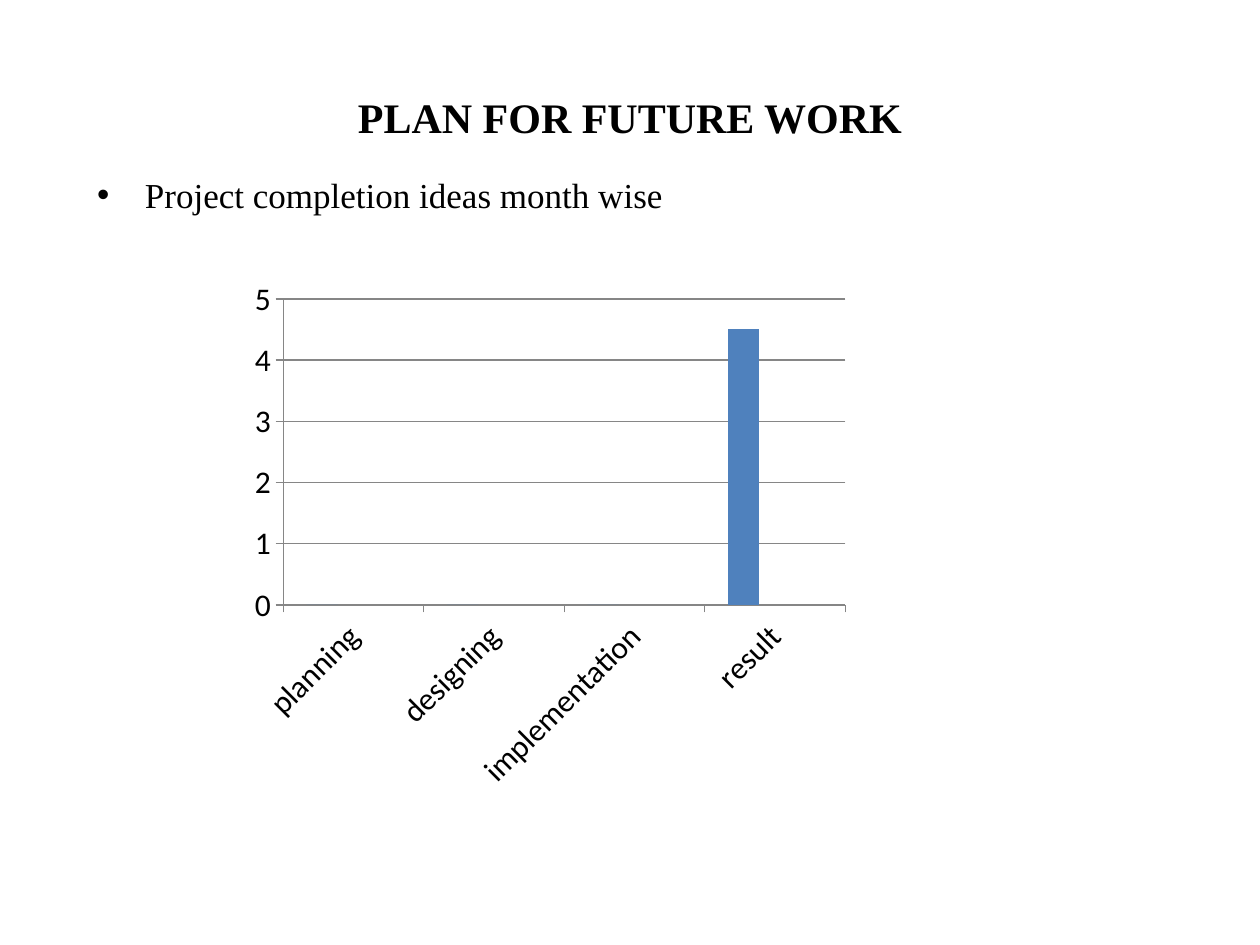
from dataclasses import dataclass
from typing import Optional

from lxml.etree import SubElement
from pptx import Presentation
from pptx.chart.data import CategoryChartData
from pptx.dml.color import RGBColor
from pptx.enum.chart import XL_CHART_TYPE, XL_TICK_MARK
from pptx.enum.text import MSO_ANCHOR, PP_ALIGN
from pptx.oxml import parse_xml
from pptx.oxml.ns import nsdecls, qn
from pptx.util import Inches, Pt

BLACK = RGBColor(0, 0, 0)
GREY = RGBColor(0x86, 0x86, 0x86)
BLUE = RGBColor(0x4F, 0x81, 0xBD)
RED = RGBColor(0xC0, 0x50, 0x4D)
GREEN = RGBColor(0x9B, 0xBB, 0x59)
STAGES = ["planning", "designing", "implementation", "result"]
PLOT = {"x": 0.124, "y": 0.066, "w": 0.669, "h": 0.547}


@dataclass
class Series:
    name: str
    vals: list[Optional[float]]
    color: RGBColor


SERIES = [
    Series("Series 1", [0, 0, 0, 4.5], BLUE),
    Series("Series 2", [None] * 4, RED),
    Series("Series 3", [None] * 4, GREEN),
]


def place(shape, left: float, top: float, width: float, height: float) -> None:
    shape.left, shape.top = Inches(left), Inches(top)
    shape.width, shape.height = Inches(width), Inches(height)


def write(shape, text: str, *, size: float, bold: bool = False,
          align=PP_ALIGN.LEFT, anchor=MSO_ANCHOR.TOP):
    frame = shape.text_frame
    frame.word_wrap = True
    frame.vertical_anchor = anchor
    para = frame.paragraphs[0]
    para.alignment = align
    run = para.add_run()
    run.text = text
    font = run.font
    font.name, font.size, font.bold = "Times New Roman", Pt(size), bold
    font.color.rgb = BLACK
    return para


def bullet(para, indent: float) -> None:
    props = para._p.get_or_add_pPr()
    props.set("marL", str(Inches(indent)))
    props.set("indent", str(-Inches(indent)))
    space = SubElement(SubElement(props, qn("a:spcBef")), qn("a:spcPct"))
    space.set("val", "20000")
    SubElement(props, qn("a:buFont")).set("typeface", "Arial")
    SubElement(props, qn("a:buChar")).set("char", "•")


def layout(chart) -> None:
    area = chart._chartSpace.find(".//" + qn("c:plotArea"))
    for old in area.findall(qn("c:layout")):
        area.remove(old)
    modes = "".join(f'<c:{key}Mode val="edge"/>' for key in "xy")
    sizes = "".join(f'<c:{key} val="{val}"/>' for key, val in PLOT.items())
    area.insert(0, parse_xml(
        f'<c:layout {nsdecls("c")}><c:manualLayout>'
        f'<c:layoutTarget val="inner"/>{modes}{sizes}'
        '</c:manualLayout></c:layout>'))


def draw(slide) -> None:
    data = CategoryChartData()
    data.categories = STAGES
    for item in SERIES:
        data.add_series(item.name, item.vals)
    chart = slide.shapes.add_chart(
        XL_CHART_TYPE.COLUMN_CLUSTERED, Inches(1.42), Inches(2.08),
        Inches(6.67), Inches(4.44), data).chart
    chart.has_legend = chart.has_title = False
    chart.font.name, chart.font.size = "Calibri", Pt(18)
    chart.font.color.rgb = BLACK
    plot = chart.plots[0]
    plot.gap_width, plot.overlap = 150, 0
    plot.vary_by_categories = False
    for bars, item in zip(plot.series, SERIES):
        bars.format.fill.solid()
        bars.format.fill.fore_color.rgb = item.color
    for axis in (chart.category_axis, chart.value_axis):
        axis.major_tick_mark = XL_TICK_MARK.OUTSIDE
        axis.minor_tick_mark = XL_TICK_MARK.NONE
        axis.format.line.color.rgb = GREY
        axis.format.line.width = Pt(0.75)
        axis.tick_labels.font.size = Pt(18)
    body = chart.category_axis._element.find(".//" + qn("a:bodyPr"))
    body.set("rot", "-2700000")
    scale = chart.value_axis
    scale.minimum_scale, scale.maximum_scale, scale.major_unit = 0, 5, 1
    scale.has_major_gridlines = True
    grid = scale.major_gridlines.format.line
    grid.color.rgb, grid.width = GREY, Pt(0.75)
    layout(chart)


def main() -> None:
    deck = Presentation()
    deck.slide_width, deck.slide_height = Inches(10), Inches(7.5)
    slide = deck.slides.add_slide(deck.slide_layouts[1])
    title, body = slide.placeholders
    place(title, 0.5, 0.3, 9, 1.25)
    write(title, "PLAN FOR FUTURE WORK", size=24, bold=True,
          align=PP_ALIGN.CENTER, anchor=MSO_ANCHOR.MIDDLE)
    place(body, 0.67, 1.33, 9, 4.95)
    bullet(write(body, "Project completion ideas month wise", size=20), 0.38)
    draw(slide)
    deck.save("out.pptx")


main()
